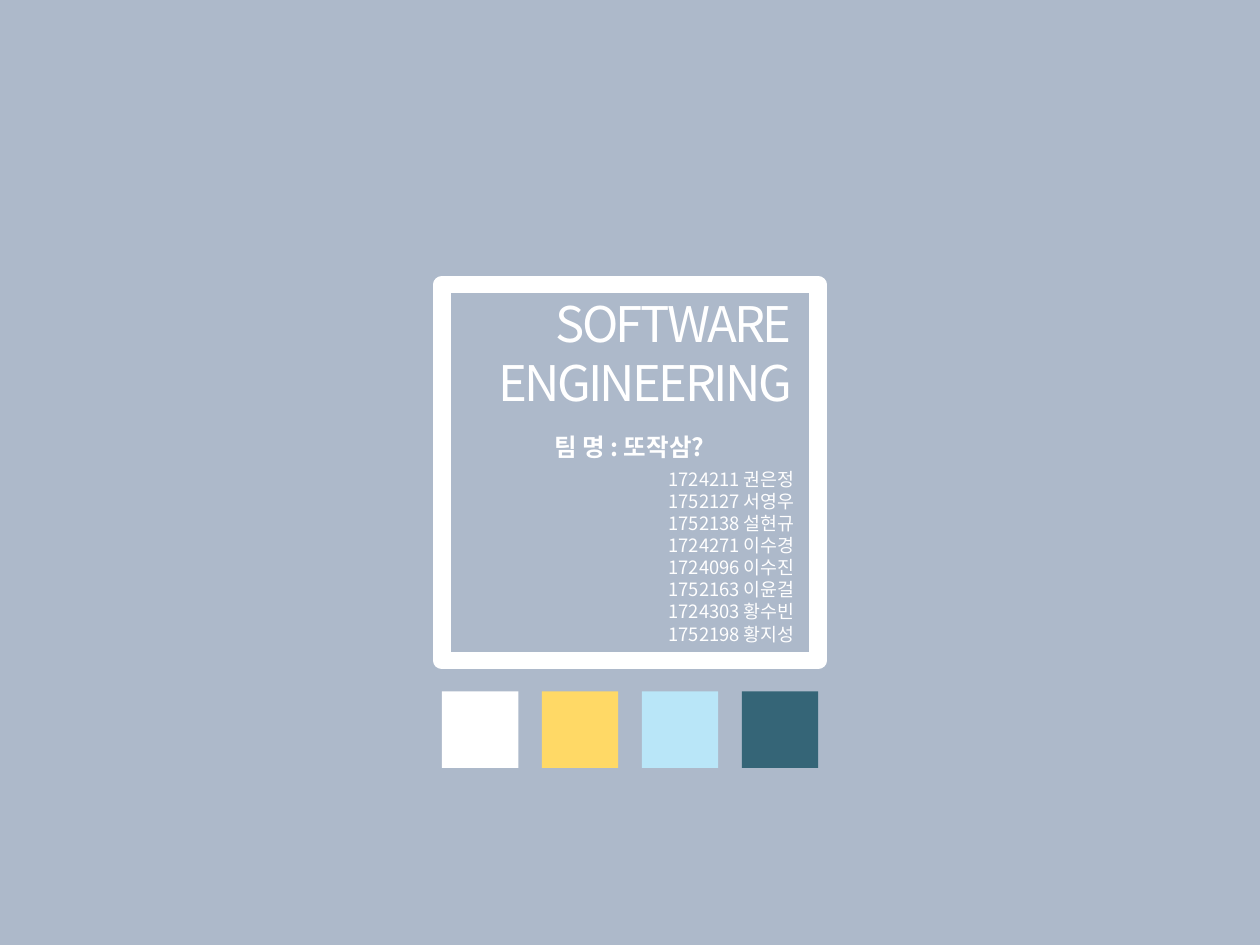
from lxml import etree
from pptx import Presentation
from pptx import util as u
from pptx.dml.color import RGBColor
from pptx.enum import shapes, text
from pptx.oxml.ns import qn

FONT = "Noto Sans CJK KR"
COLOURS = {
    "background": "ADB9CA",
    "white": "FFFFFF",
    "yellow": "FFD966",
    "sky": "B9E6F8",
    "teal": "356577",
}
MEMBERS = [
    "1724211 권은정",
    "1752127 서영우",
    "1752138 설현규",
    "1724271 이수경",
    "1724096 이수진",
    "1752163 이윤걸",
    "1724303 황수빈",
    "1752198 황지성",
]


def colour(name):
    """Return the named palette colour."""
    return RGBColor.from_string(COLOURS[name])


def add_square(slide_shapes, left, top, side):
    """Add a plain square without a shadow."""
    square = slide_shapes.add_shape(
        shapes.MSO_SHAPE.RECTANGLE, u.Cm(left), u.Cm(top), u.Cm(side), u.Cm(side)
    )
    square.shadow.inherit = False
    return square


def add_frame(slide, left, top, side, width):
    """Add the open white square around the text."""
    frame = add_square(slide.shapes, left, top, side)
    frame.fill.background()
    frame.line.color.rgb = colour("white")
    frame.line.width = u.Pt(width)


def add_swatches(slide, left, top, side, pitch, names):
    """Add a grouped row of evenly spaced colour squares."""
    group = slide.shapes.add_group_shape()
    for index, name in enumerate(names):
        swatch = add_square(group.shapes, left + index * pitch, top, side)
        swatch.fill.solid()
        swatch.fill.fore_color.rgb = colour(name)
        swatch.line.fill.background()


def add_text(slide, box, lines, size, bold=False, align=text.PP_ALIGN.LEFT, spacing=0):
    """Add a white text box with one paragraph per line."""
    shape = slide.shapes.add_textbox(*(u.Cm(length) for length in box))
    frame = shape.text_frame
    frame.word_wrap = True
    frame.auto_size = text.MSO_AUTO_SIZE.SHAPE_TO_FIT_TEXT
    frame.text = "\n".join(lines)
    for paragraph in frame.paragraphs:
        paragraph.alignment = align
        font = paragraph.font
        font.name, font.size, font.bold = FONT, u.Pt(size), bold
        font.color.rgb = colour("white")
        properties = paragraph._p.pPr.find(qn("a:defRPr"))
        etree.SubElement(properties, qn("a:ea"), typeface=FONT)
        if spacing:
            properties.set("spc", str(round(spacing * 100)))


def main():
    """Build the title slide and save it."""
    presentation = Presentation()
    presentation.slide_width, presentation.slide_height = u.Cm(25.4), u.Cm(19.05)
    slide = presentation.slides.add_slide(presentation.slide_layouts[6])
    slide.background.fill.solid()
    slide.background.fill.fore_color.rgb = colour("background")

    add_frame(slide, left=8.91, top=5.74, side=7.58, width=10)
    add_text(slide, (9.17, 5.8, 7.04, 2.64), ["SOFTWARE", "ENGINEERING"], 28,
             align=text.PP_ALIGN.RIGHT, spacing=-1.5)
    add_text(slide, (10.92, 8.59, 4.17, 0.86), ["팀 명 : 또작삼?"], 14, bold=True)
    add_swatches(slide, left=8.91, top=13.94, side=1.54, pitch=2.015,
                 names=["white", "yellow", "sky", "teal"])
    add_text(slide, (13.23, 9.32, 3.18, 3.84), MEMBERS, 10.5)
    presentation.save("out.pptx")


if __name__ == "__main__":
    main()
